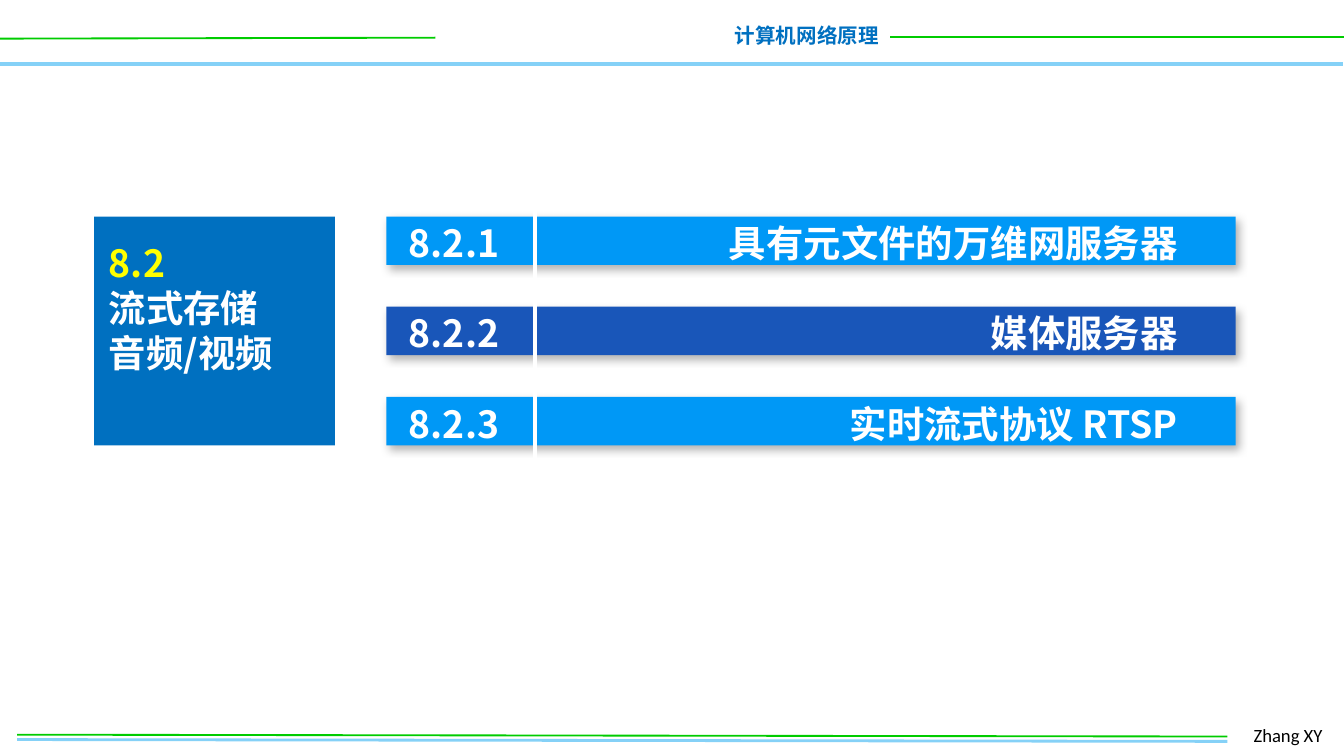
"""Build the section 8.2 contents slide on streaming stored audio and video."""
from dataclasses import dataclass

from lxml import etree
from pptx import Presentation
from pptx.dml.color import RGBColor
from pptx.enum import shapes, text
from pptx.oxml import ns
from pptx.util import Pt

CJK = "Noto Sans CJK SC"
WHITE, BLUE, SKY, GREEN = "FFFFFF", "0070C0", "85D1F7", "00CC00"


@dataclass
class Rule:
    x1: float
    y1: float
    x2: float
    y2: float
    color: str
    width: float


@dataclass
class Topic:
    number: str
    name: str
    color: str


@dataclass
class Label:
    x: float
    y: float
    w: float
    h: float
    words: str
    font: str
    size: float
    color: str
    bold: bool
    align: text.PP_ALIGN


RULES = [
    Rule(0, 34.3, 719.5, 34.3, SKY, 2),
    Rule(0, 20.7, 233.3, 20.2, GREEN, 1),
    Rule(476.8, 19.7, 720, 19.7, GREEN, 1),
    Rule(9.2, 396.2, 657.5, 397.2, SKY, 1.5),
    Rule(9.2, 393.6, 657.5, 394.6, GREEN, 1),
]
LABELS = [
    Label(386, 8.6, 92, 21, "计算机网络原理", CJK, 11, BLUE, True, text.PP_ALIGN.RIGHT),
    Label(664.5, 384, 53.5, 19.4, "Zhang XY", "Calibri", 10, "000000", False,
          text.PP_ALIGN.LEFT),
]
TOPICS = [
    Topic("8.2.1", "具有元文件的万维网服务器", "0098F6"),
    Topic("8.2.2", "媒体服务器", "1956B9"),
    Topic("8.2.3", "实时流式协议 RTSP", "0098F6"),
]
DIVIDER = Rule(286.6, 81.4, 286.6, 309.6, WHITE, 2.25)
BLOCK_TOP, BAR_LEFT, BAR_WIDTH, BAR_HEIGHT, BAR_PITCH = 116, 207, 455, 26, 48.3


def rgb(color: str) -> RGBColor:
    return RGBColor.from_string(color)


def style(p, font: str, size: float, color: str, bold: bool) -> None:
    for r in p.runs:
        r.font.name, r.font.size, r.font.bold = font, Pt(size), bold
        r.font.color.rgb = rgb(color)
        ea = etree.SubElement(r._r.get_or_add_rPr(), ns.qn("a:ea"))
        ea.set("typeface", font)


def set_margins(tf, left: float, top: float) -> None:
    tf.margin_left, tf.margin_top = Pt(left), Pt(top)
    tf.margin_right = tf.margin_bottom = 0


def draw_rule(s, rule: Rule) -> None:
    line = s.shapes.add_connector(shapes.MSO_CONNECTOR.STRAIGHT, Pt(rule.x1), Pt(rule.y1),
                                  Pt(rule.x2), Pt(rule.y2))
    line.line.color.rgb = rgb(rule.color)
    line.line.width = Pt(rule.width)
    etree.SubElement(line._element.spPr, ns.qn("a:effectLst"))


def draw_label(s, label: Label) -> None:
    box = s.shapes.add_textbox(Pt(label.x), Pt(label.y), Pt(label.w), Pt(label.h))
    tf = box.text_frame
    tf.text = label.words
    tf.word_wrap = False
    tf.paragraphs[0].alignment = label.align
    style(tf.paragraphs[0], label.font, label.size, label.color, label.bold)


def add_shadow(sp) -> None:
    sp.shadow.inherit = False
    effects = sp._element.spPr.find(ns.qn("a:effectLst"))
    shadow = etree.SubElement(effects, ns.qn("a:outerShdw"), blurRad=str(Pt(4.5)),
                              dist=str(Pt(2.6)), dir=str(53 * 60000), rotWithShape="0")
    black = etree.SubElement(shadow, ns.qn("a:srgbClr"), val="000000")
    etree.SubElement(black, ns.qn("a:alpha"), val="30000")


def draw_topic(s, topic: Topic, top: float) -> None:
    sp = s.shapes.add_shape(shapes.MSO_SHAPE.RECTANGLE, Pt(BAR_LEFT), Pt(top),
                            Pt(BAR_WIDTH), Pt(BAR_HEIGHT))
    sp.fill.solid()
    sp.fill.fore_color.rgb = rgb(topic.color)
    sp.line.fill.background()
    add_shadow(sp)
    tf = sp.text_frame
    tf.text = f"{topic.number}\t{topic.name}"
    tf.vertical_anchor = text.MSO_ANCHOR.MIDDLE
    set_margins(tf, 12, 2)
    p = tf.paragraphs[0]
    tabs = etree.SubElement(p._p.get_or_add_pPr(), ns.qn("a:tabLst"))
    etree.SubElement(tabs, ns.qn("a:tab"), pos=str(Pt(412)), algn="r")
    p.alignment, p.line_spacing = text.PP_ALIGN.LEFT, Pt(24.2)
    style(p, CJK, 20, WHITE, True)


def draw_title(s) -> None:
    title = s.shapes.title
    title.left, title.top = Pt(50.4), Pt(BLOCK_TOP)
    title.width, title.height = Pt(129), Pt(2 * BAR_PITCH + BAR_HEIGHT)
    title.fill.solid()
    title.fill.fore_color.rgb = rgb(BLUE)
    tf = title.text_frame
    tf.text = "8.2\n流式存储\n音频/视频"
    tf.word_wrap, tf.auto_size = True, text.MSO_AUTO_SIZE.NONE
    tf.vertical_anchor = text.MSO_ANCHOR.TOP
    set_margins(tf, 7.9, 12.5)
    for p, color in zip(tf.paragraphs, ("FFFF00", WHITE, WHITE)):
        p.alignment, p.line_spacing = text.PP_ALIGN.LEFT, Pt(24.2)
        style(p, CJK, 20, color, True)


def main() -> None:
    prs = Presentation()
    prs.slide_width, prs.slide_height = Pt(720), Pt(405)
    s = prs.slides.add_slide(prs.slide_layouts.get_by_name("Title Only"))
    for rule in RULES:
        draw_rule(s, rule)
    for label in LABELS:
        draw_label(s, label)
    draw_title(s)
    for i, topic in enumerate(TOPICS):
        draw_topic(s, topic, BLOCK_TOP + i * BAR_PITCH)
    draw_rule(s, DIVIDER)
    prs.save("out.pptx")


if __name__ == "__main__":
    main()
